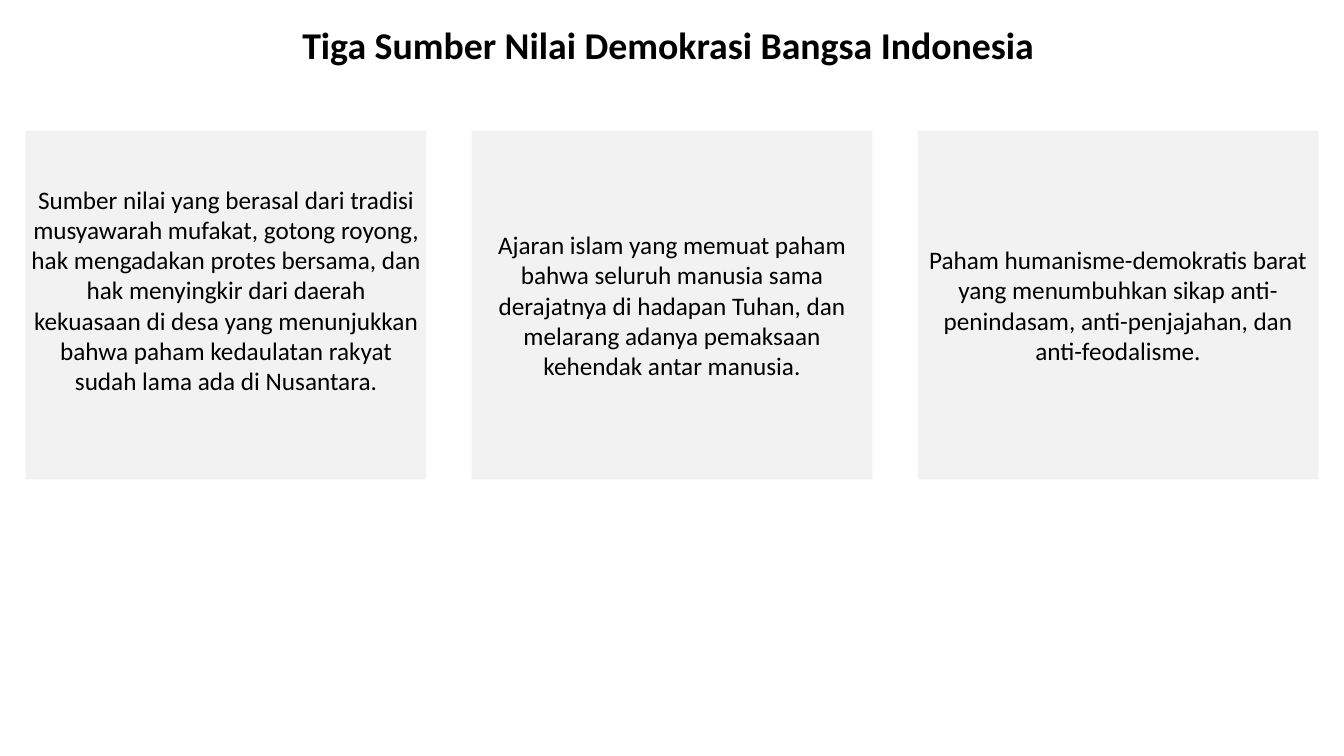
from dataclasses import dataclass

from pptx import Presentation
from pptx.dml.color import RGBColor
from pptx.enum.shapes import MSO_SHAPE
from pptx.enum.text import MSO_ANCHOR, MSO_AUTO_SIZE, PP_ALIGN
from pptx.util import Inches, Pt


@dataclass(frozen=True)
class Theme:
    font: str = "Calibri"
    text: RGBColor = RGBColor(0x00, 0x00, 0x00)
    card: RGBColor = RGBColor(0xF2, 0xF2, 0xF2)
    title_size: int = 54
    body_size: int = 36


THEME = Theme()


def write_text(shape, text, size, bold=False, align=PP_ALIGN.LEFT):
    paragraph = shape.text_frame.paragraphs[0]
    paragraph.alignment = align
    run = paragraph.add_run()
    run.text = text
    run.font.name = THEME.font
    run.font.size = Pt(size)
    run.font.bold = bold
    run.font.color.rgb = THEME.text


presentation = Presentation()
presentation.slide_width = Inches(26.67)
presentation.slide_height = Inches(15)
slide = presentation.slides.add_slide(presentation.slide_layouts[6])

# Title
title = slide.shapes.add_textbox(Inches(5.9), Inches(0.38), Inches(14.87), Inches(1.01))
title.text_frame.word_wrap = False
title.text_frame.auto_size = MSO_AUTO_SIZE.SHAPE_TO_FIT_TEXT
write_text(title, "Tiga Sumber Nilai Demokrasi Bangsa Indonesia", THEME.title_size, bold=True)

# One card per source of values; a larger bottom inset raises the longest text
CARD_LEFT, CARD_TOP = 0.51, 2.59
CARD_WIDTH, CARD_HEIGHT = 7.95, 6.92
CARD_GAP = 0.9
sources = [
    ("Sumber nilai yang berasal dari tradisi musyawarah mufakat, gotong royong, "
     "hak mengadakan protes bersama, dan hak menyingkir dari daerah kekuasaan di desa "
     "yang menunjukkan bahwa paham kedaulatan rakyat sudah lama ada di Nusantara.", 0.65),
    ("Ajaran islam yang memuat paham bahwa seluruh manusia sama derajatnya di hadapan "
     "Tuhan, dan melarang adanya pemaksaan kehendak antar manusia.", 0.05),
    ("Paham humanisme-demokratis barat yang menumbuhkan sikap anti-penindasam, "
     "anti-penjajahan, dan anti-feodalisme.", 0.05),
]
for index, (text, bottom_inset) in enumerate(sources):
    left = CARD_LEFT + index * (CARD_WIDTH + CARD_GAP)
    card = slide.shapes.add_shape(
        MSO_SHAPE.RECTANGLE,
        Inches(left), Inches(CARD_TOP), Inches(CARD_WIDTH), Inches(CARD_HEIGHT),
    )
    card.shadow.inherit = False
    card.fill.solid()
    card.fill.fore_color.rgb = THEME.card
    card.line.fill.background()
    card.text_frame.word_wrap = True
    card.text_frame.vertical_anchor = MSO_ANCHOR.MIDDLE
    card.text_frame.margin_bottom = Inches(bottom_inset)
    write_text(card, text, THEME.body_size, align=PP_ALIGN.CENTER)

presentation.save("out.pptx")
